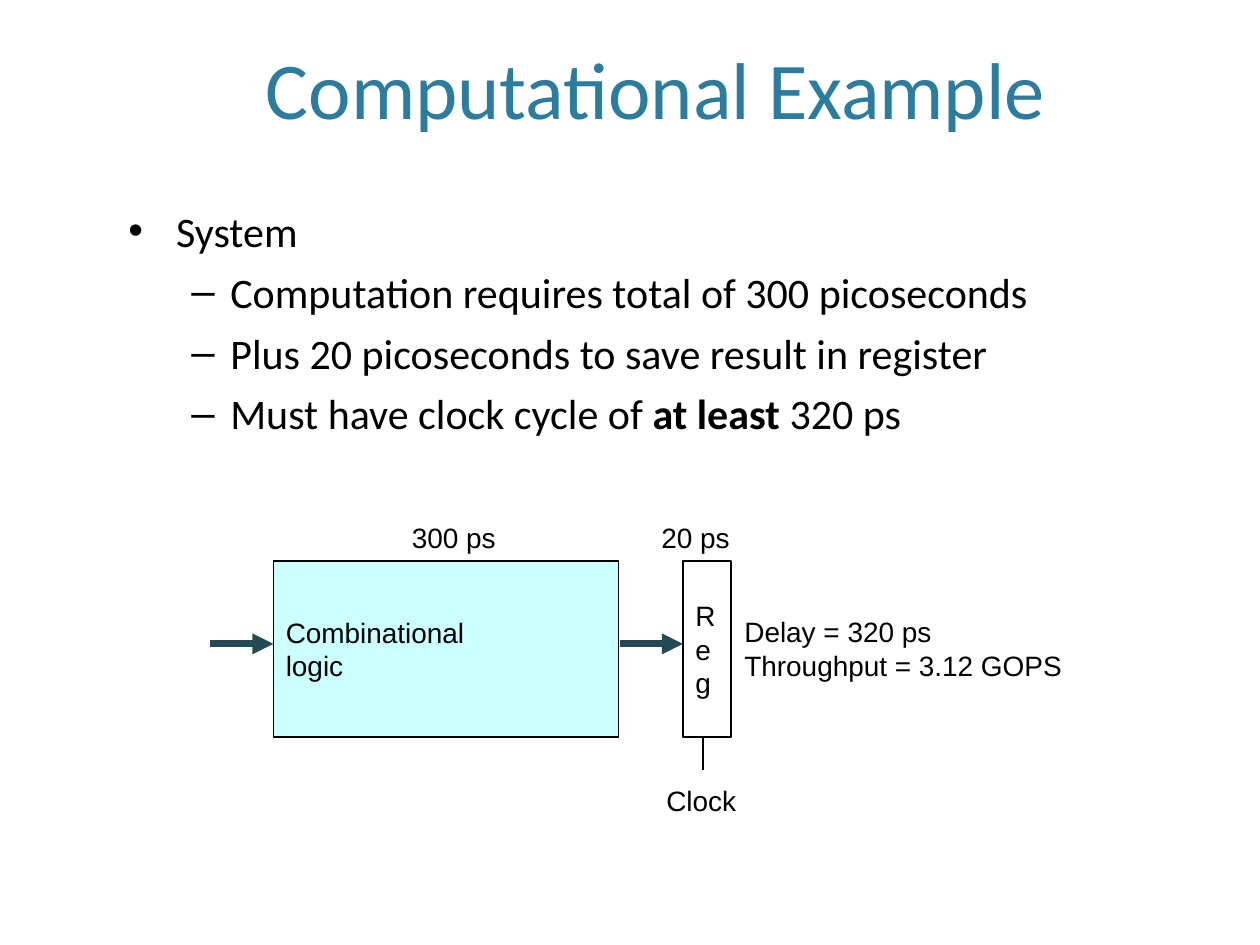
from dataclasses import dataclass

from lxml import etree
from pptx import Presentation
from pptx.dml.color import RGBColor
from pptx.enum import shapes, text
from pptx.oxml import ns
from pptx.util import Inches, Pt


@dataclass(frozen=True)
class Theme:
    title_color: str = "2C7C9F"
    ink: str = "000000"
    arrow: str = "244A58"
    logic_fill: str = "CCFFFF"
    register_fill: str = "FFFFFF"
    text_font: str = "Calibri"
    diagram_font: str = "Arial"
    title_size: int = 46
    body_size: int = 24
    label_size: int = 16


def rgb(value):
    return RGBColor.from_string(value)


def add_element(parent, tag, **attributes):
    return etree.SubElement(parent, ns.qn(tag), attributes)


class SlideBuilder:
    def __init__(self, page, theme):
        self.page = page
        self.theme = theme

    def style_text(self, frame, font, size, color):
        for paragraph in frame.paragraphs:
            for span in paragraph.runs:
                span.font.name = font
                span.font.size = Pt(size)
                span.font.color.rgb = rgb(color)

    def title(self, wording, left, top, width, height):
        box = self.page.shapes.title
        box.left, box.top = Inches(left), Inches(top)
        box.width, box.height = Inches(width), Inches(height)
        frame = box.text_frame
        frame.text = wording
        frame.auto_size = text.MSO_AUTO_SIZE.NONE
        frame.vertical_anchor = text.MSO_ANCHOR.BOTTOM
        frame.margin_left = frame.margin_right = 0
        frame.margin_top = frame.margin_bottom = Inches(0.04)
        frame.paragraphs[0].alignment = text.PP_ALIGN.CENTER
        self.style_text(frame, self.theme.text_font, self.theme.title_size, self.theme.title_color)

    def bullets(self, items, left, top, width, height):
        levels = [("•", 0.38, 0.38), ("–", 0.81, 0.31)]
        box = self.page.shapes.add_textbox(Inches(left), Inches(top), Inches(width), Inches(height))
        frame = box.text_frame
        frame.word_wrap = True
        for index, (level, spans) in enumerate(items):
            paragraph = frame.paragraphs[0] if index == 0 else frame.add_paragraph()
            symbol, margin, hanging = levels[level]
            paragraph.level = level
            properties = paragraph._p.get_or_add_pPr()
            properties.set("marL", str(Inches(margin)))
            properties.set("indent", str(-Inches(hanging)))
            bullet_color = add_element(properties, "a:buClr")
            add_element(bullet_color, "a:srgbClr", val=self.theme.ink)
            add_element(properties, "a:buFont", typeface=self.theme.diagram_font)
            add_element(properties, "a:buChar", char=symbol)
            if index:
                paragraph.space_before = Pt(6)
            for wording, bold in spans:
                span = paragraph.add_run()
                span.text = wording
                span.font.bold = bold
        self.style_text(frame, self.theme.text_font, self.theme.body_size, self.theme.ink)

    def diagram_text(self, frame, wording):
        frame.text = wording
        frame.word_wrap = False
        for paragraph in frame.paragraphs:
            paragraph.alignment = text.PP_ALIGN.LEFT
        self.style_text(frame, self.theme.diagram_font, self.theme.label_size, self.theme.ink)

    def block(self, wording, fill, left, top, width, height):
        box = self.page.shapes.add_shape(
            shapes.MSO_SHAPE.RECTANGLE, Inches(left), Inches(top), Inches(width), Inches(height)
        )
        box.shadow.inherit = False
        box.fill.solid()
        box.fill.fore_color.rgb = rgb(fill)
        box.line.color.rgb = rgb(self.theme.ink)
        box.line.width = Pt(1)
        box.text_frame.vertical_anchor = text.MSO_ANCHOR.MIDDLE
        self.diagram_text(box.text_frame, wording)

    def label(self, wording, left, top, width, height=0.36):
        box = self.page.shapes.add_textbox(Inches(left), Inches(top), Inches(width), Inches(height))
        self.diagram_text(box.text_frame, wording)
        box.text_frame.margin_right = Inches(0.05)
        box.text_frame.auto_size = text.MSO_AUTO_SIZE.NONE

    def line(self, start, end, color, width, arrow=False):
        connector = self.page.shapes.add_connector(
            shapes.MSO_CONNECTOR.STRAIGHT, *(Inches(value) for value in (*start, *end))
        )
        connector.line.color.rgb = rgb(color)
        connector.line.width = Pt(width)
        if arrow:
            add_element(connector.line._get_or_add_ln(), "a:tailEnd", type="triangle")
        add_element(connector._element.spPr, "a:effectLst")


def main():
    deck = Presentation()
    deck.slide_width, deck.slide_height = Inches(10), Inches(7.5)
    theme = Theme()
    slide = SlideBuilder(deck.slides.add_slide(deck.slide_layouts[5]), theme)

    slide.title("Computational Example", 0.44, 0.27, 9.52, 0.85)
    slide.bullets(
        [
            (0, [("System", False)]),
            (1, [("Computation requires total of 300 picoseconds", False)]),
            (1, [("Plus 20 picoseconds to save result in register", False)]),
            (1, [("Must have clock cycle of ", False), ("at least ", True), ("320 ps", False)]),
        ],
        0.92, 1.58, 8.67, 2,
    )

    block_top, block_height = 4.45, 1.4
    logic_left, logic_width = 2.17, 2.74
    register_left, register_width = 5.42, 0.38
    slide.block("Combinational\nlogic", theme.logic_fill,
                logic_left, block_top, logic_width, block_height)
    slide.block("R\ne\ng", theme.register_fill,
                register_left, block_top, register_width, block_height)

    slide.label("300 ps", 3.17, 4.08, 0.88)
    slide.label("20 ps", 5.15, 4.08, 0.76)

    arrow_y, arrow_length = 5.11, 0.5
    for target in (logic_left, register_left):
        slide.line((target - arrow_length, arrow_y), (target, arrow_y), theme.arrow, 4, arrow=True)

    clock_x, clock_top = 5.58, block_top + block_height
    slide.line((clock_x, clock_top), (clock_x, clock_top + 0.26), theme.ink, 1)
    slide.label("Clock", 5.19, 6.17, 0.77)
    slide.label("Delay = 320 ps\nThroughput = 3.12 GOPS", 5.81, 4.83, 2.74, 0.63)

    deck.save("out.pptx")


if __name__ == "__main__":
    main()
